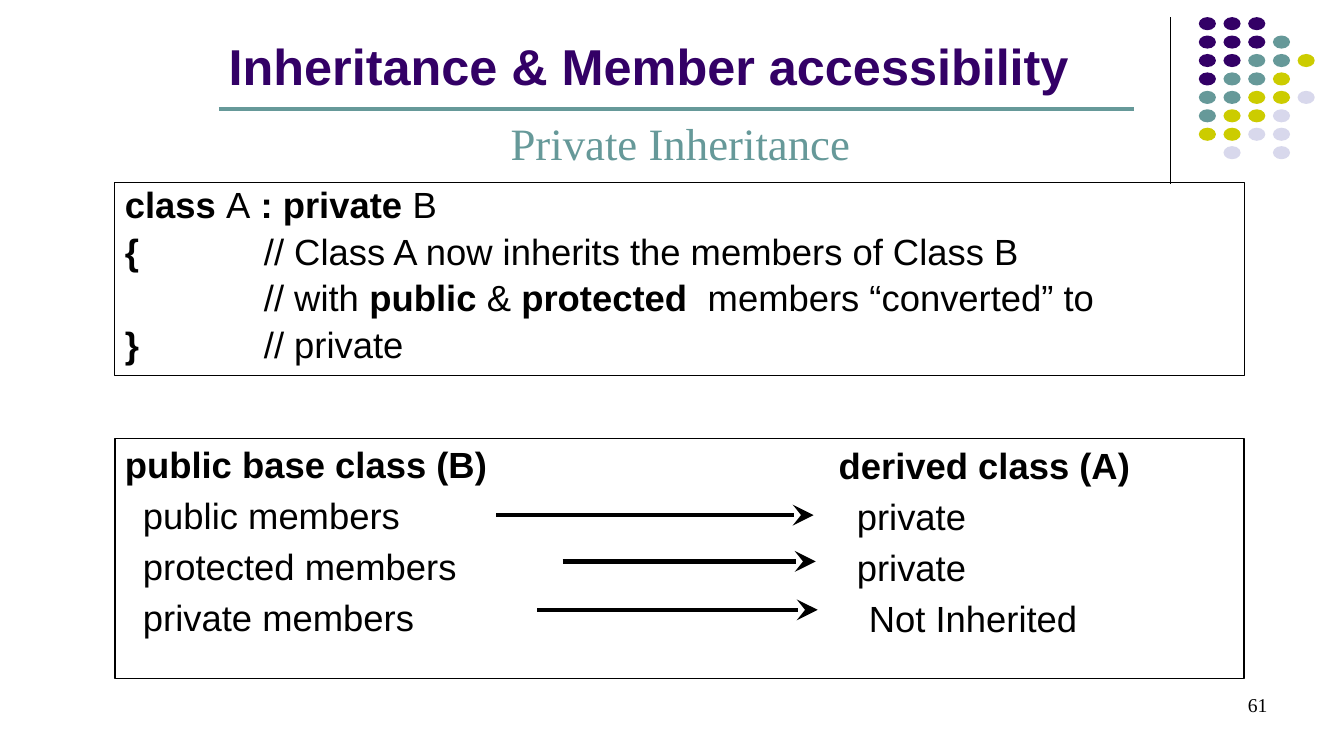
from dataclasses import dataclass
from typing import NamedTuple

from lxml.etree import SubElement
from pptx import Presentation
from pptx.dml.color import RGBColor
from pptx.enum.shapes import MSO_CONNECTOR, MSO_SHAPE
from pptx.enum.text import MSO_ANCHOR, PP_ALIGN
from pptx.oxml.ns import qn
from pptx.util import Inches, Pt

COLORS = {
    "purple": "330066", "teal": "669999", "olive": "CCCC00",
    "lilac": "D8D8EC", "black": "000000",
}


class Run(NamedTuple):
    text: str
    bold: bool = False


@dataclass
class Para:
    runs: list[Run]
    margin: float = 0
    indent: float = 0


@dataclass
class Block:
    box: tuple[float, float, float, float]
    paras: list[Para]
    size: float
    font: str = "Arial"
    color: str = "black"
    align: PP_ALIGN = PP_ALIGN.LEFT
    anchor: MSO_ANCHOR = MSO_ANCHOR.TOP
    before: float = 0
    spacing: float = 1.0


@dataclass
class Line:
    start: tuple[float, float]
    end: tuple[float, float]
    width: float
    color: str = "black"
    arrow: bool = False


def rgb(name: str) -> RGBColor:
    return RGBColor.from_string(COLORS[name])


def add_text(s, block: Block) -> None:
    tf = s.shapes.add_textbox(*map(Inches, block.box)).text_frame
    tf.word_wrap = True
    tf.vertical_anchor = block.anchor
    for i, para in enumerate(block.paras):
        p = tf.add_paragraph() if i else tf.paragraphs[0]
        formats = {"alignment": block.align, "line_spacing": block.spacing,
                   "space_before": Pt(block.before)}
        for key, value in formats.items():
            setattr(p, key, value)
        pPr = p._p.get_or_add_pPr()
        pPr.set("marL", str(Inches(para.margin)))
        pPr.set("indent", str(Inches(para.indent)))
        for run in para.runs:
            r = p.add_run()
            r.text = run.text
            font = {"name": block.font, "size": Pt(block.size), "bold": run.bold}
            for key, value in font.items():
                setattr(r.font, key, value)
            r.font.color.rgb = rgb(block.color)


def add_line(s, line: Line) -> None:
    c = s.shapes.add_connector(
        MSO_CONNECTOR.STRAIGHT, *map(Inches, line.start + line.end))
    c.line.width = Pt(line.width)
    c.line.color.rgb = rgb(line.color)
    if line.arrow:
        SubElement(c.line._get_or_add_ln(), qn("a:tailEnd"),
                   type="stealth", w="lg", len="lg")
    SubElement(c._element.spPr, qn("a:effectLst"))


def add_frame(s, box: tuple[float, float, float, float], width: float) -> None:
    sp = s.shapes.add_shape(MSO_SHAPE.RECTANGLE, *map(Inches, box))
    sp.shadow.inherit = False
    sp.fill.background()
    sp.line.width = Pt(width)
    sp.line.color.rgb = rgb("black")


def add_dots(s, rows: list[str]) -> None:
    names = {"P": "purple", "T": "teal", "O": "olive", "L": "lilac"}
    for i, row in enumerate(rows):
        for j, key in enumerate(row):
            if key not in names:
                continue
            x, y = 11.89 + j * 0.98 / 4, 0.17 + i * 1.28 / 7
            sp = s.shapes.add_shape(
                MSO_SHAPE.OVAL, *map(Inches, (x, y, 0.17, 0.13)))
            sp.shadow.inherit = False
            sp.fill.solid()
            sp.fill.fore_color.rgb = rgb(names[key])
            sp.line.fill.background()


def hanging(depth: float, *runs: Run) -> Para:
    return Para(list(runs), depth, -depth)


CODE_BOX = (1.14, 1.81, 11.2, 1.92)
ACCESS_BOX = (1.14, 4.35, 11.2, 2.38)

TITLE = Block((2.17, 0.25, 9, 0.75),
              [Para([Run("Inheritance & Member accessibility", True)])],
              36, color="purple", anchor=MSO_ANCHOR.BOTTOM)
SUBTITLE = Block((2.5, 1.16, 8.5, 0.5), [Para([Run("Private Inheritance")])],
                 32, "Times New Roman", "teal", PP_ALIGN.CENTER,
                 MSO_ANCHOR.MIDDLE)
CODE = Block(CODE_BOX, [
    hanging(0.38, Run("class ", True), Run("A"),
            Run(" : private ", True), Run("B")),
    hanging(0.38, Run("{\t\t\t", True),
            Run("// Class A now inherits the members of Class B")),
    hanging(0.38, Run("\t\t\t// with "), Run("public", True), Run(" & "),
            Run("protected  ", True), Run("members “converted” to")),
    hanging(0.38, Run("}\t\t\t", True), Run("// private")),
], 26, before=5.2, spacing=0.9)
BASE = Block((1.14, 4.34, 4.5, 2.38), [
    hanging(0.18, Run("public base class (B)", True)),
    *(hanging(0.18, Run(f"\t{access} members"))
      for access in ("public", "protected", "private")),
], 26, before=5.2)
DERIVED = Block((8.22, 4.35, 3.97, 2.26), [
    hanging(0.18, Run("derived class (A)", True)),
    *(hanging(0.18, Run("\tprivate")) for _ in range(2)),
    Para([Run("Not Inherited")], 0.3),
], 26, before=5.2)
NUMBER = Block((9.56, 6.83, 3.11, 0.5), [Para([Run("61")])],
               14, "Times New Roman", align=PP_ALIGN.RIGHT)

LINES = [
    Line((11.61, 0.17), (11.61, 1.83), 0.75),
    Line((2.17, 1.08), (11.25, 1.08), 3, "teal"),
    Line((4.92, 5.11), (8.07, 5.11), 3, arrow=True),
    Line((5.58, 5.57), (8.09, 5.57), 3, arrow=True),
    Line((5.33, 6.05), (8.11, 6.05), 3, arrow=True),
]
DOTS = ["PPP", "PPPT", "PPTTO", "PTTO", "TTOOL", "TOOL", "OOLL", ".L.L"]


def main() -> None:
    prs = Presentation()
    prs.slide_width, prs.slide_height = Inches(13.33), Inches(7.5)
    s = prs.slides.add_slide(prs.slide_layouts[6])

    # Corner decoration
    add_dots(s, DOTS)

    # Headings, code, member lists and slide number
    for block in (TITLE, SUBTITLE, BASE, DERIVED, CODE, NUMBER):
        add_text(s, block)

    # Rules and arrows
    for line in LINES:
        add_line(s, line)

    # Frames
    add_frame(s, CODE_BOX, 0.75)
    add_frame(s, ACCESS_BOX, 1)

    prs.save("out.pptx")


if __name__ == "__main__":
    main()
